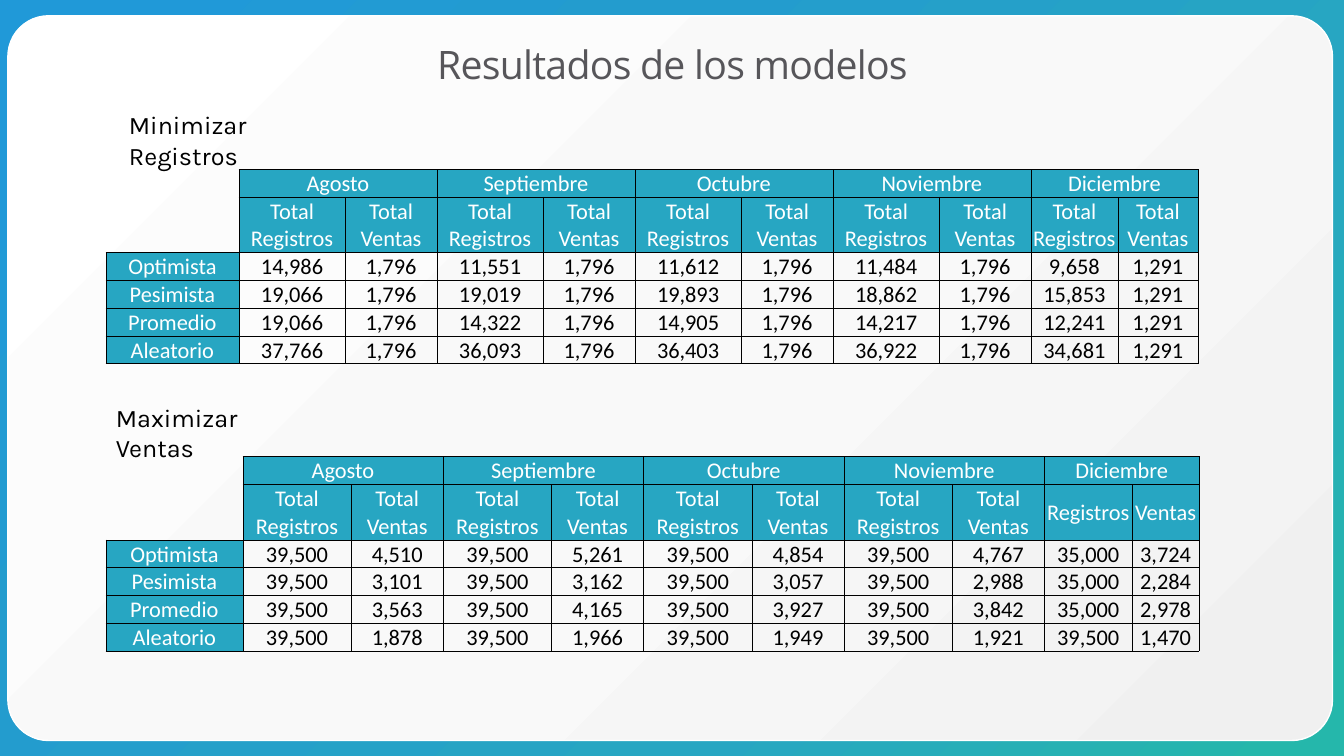
"""Build the slide that compares the results of the two models by month."""
from lxml.etree import SubElement
from pptx import Presentation
from pptx.dml.color import RGBColor
from pptx.enum.shapes import MSO_SHAPE as Shape
from pptx.enum.text import MSO_ANCHOR as Anchor, PP_ALIGN as Align
from pptx.oxml.ns import qn
from pptx.util import Cm, Pt

COLORS = {"teal": "27A6C2", "white": "FFFFFF", "black": "000000", "title": "57565A"}
BACKGROUND_STOPS = [(7, "2099D8"), (32, "239CCE"), (69, "27A6C2"), (97, "25B7AB")]
PANEL_STOPS = [(0, "FFFFFF"), (50, "F9F9F9"), (100, "F0F0F0")]

TITLE = "Resultados de los modelos"
MONTHS = ["Agosto", "Septiembre", "Octubre", "Noviembre", "Diciembre"]
MEASURES = ["Total Registros", "Total Ventas"]
MODELS = [
    {
        "name": "Minimizar Registros",
        "name_box": (3.0, 2.64, 6.15, 1.02),
        "top": 4.27,
        "widths": [3.35] + [2.68, 2.31] * 4 + [2.19, 2.02],
        "last_measures": MEASURES,
        "scenarios": [
            ("Optimista", "14,986 1,796 11,551 1,796 11,612 1,796 11,484 1,796 9,658 1,291"),
            ("Pesimista", "19,066 1,796 19,019 1,796 19,893 1,796 18,862 1,796 15,853 1,291"),
            ("Promedio", "19,066 1,796 14,322 1,796 14,905 1,796 14,217 1,796 12,241 1,291"),
            ("Aleatorio", "37,766 1,796 36,093 1,796 36,403 1,796 36,922 1,796 34,681 1,291"),
        ],
    },
    {
        "name": "Maximizar Ventas",
        "name_box": (2.67, 10.01, 5.56, 1.02),
        "top": 11.51,
        "widths": [3.45] + [2.73, 2.32] * 4 + [2.21, 1.69],
        "last_measures": ["Registros", "Ventas"],
        "scenarios": [
            ("Optimista", "39,500 4,510 39,500 5,261 39,500 4,854 39,500 4,767 35,000 3,724"),
            ("Pesimista", "39,500 3,101 39,500 3,162 39,500 3,057 39,500 2,988 35,000 2,284"),
            ("Promedio", "39,500 3,563 39,500 4,165 39,500 3,927 39,500 3,842 35,000 2,978"),
            ("Aleatorio", "39,500 1,878 39,500 1,966 39,500 1,949 39,500 1,921 39,500 1,470"),
        ],
    },
]
TABLE_LEFT = 2.67
ROW_HEIGHT = 0.7


def put_text(frame, text, font="Calibri", size=16, color="black", align=Align.CENTER,
             line_spacing=None, tracking=None):
    paragraph = frame.paragraphs[0]
    paragraph.alignment = align
    if line_spacing:
        paragraph.line_spacing = line_spacing
    if not text:
        SubElement(paragraph._p, qn("a:endParaRPr"), sz=str(size * 100))
        return
    run = paragraph.add_run()
    run.text = text
    run.font.name = font
    run.font.size = Pt(size)
    run.font.color.rgb = RGBColor.from_string(COLORS[color])
    if tracking:
        run.font._element.set("spc", str(round(tracking * 100)))


def add_text(slide, box, text, anchor=Anchor.TOP, **text_format):
    frame = slide.shapes.add_textbox(*map(Cm, box)).text_frame
    frame.word_wrap = True
    frame.vertical_anchor = anchor
    put_text(frame, text, **text_format)


def fill_radial(fill, owner, stops):
    fill.gradient()
    gradient = owner.find(".//" + qn("a:gradFill"))
    for child in list(gradient):
        gradient.remove(child)
    stop_list = SubElement(gradient, qn("a:gsLst"))
    for position, color in stops:
        stop = SubElement(stop_list, qn("a:gs"), pos=str(position * 1000))
        SubElement(stop, qn("a:srgbClr"), val=color)
    shade = SubElement(gradient, qn("a:path"), path="circle")
    SubElement(shade, qn("a:fillToRect"), r="100000", b="100000")


def set_borders(cell, visible):
    properties = cell._tc.get_or_add_tcPr()
    for index, side in enumerate("LRTB"):
        line = properties.makeelement(qn(f"a:ln{side}"), {"w": str(Pt(0.5))})
        if side in visible:
            color = SubElement(line, qn("a:solidFill"))
            SubElement(color, qn("a:srgbClr"), val=COLORS["black"])
        else:
            SubElement(line, qn("a:noFill"))
        properties.insert(index, line)


def add_results(slide, model):
    month_row = [""] + [part for month in MONTHS for part in (month, "")]
    measure_row = [""] + MEASURES * (len(MONTHS) - 1) + model["last_measures"]
    rows = [month_row, measure_row]
    rows += [[scenario] + values.split() for scenario, values in model["scenarios"]]
    widths = model["widths"]
    heights = [ROW_HEIGHT * (2 if row is measure_row else 1) for row in rows]
    results = slide.shapes.add_table(
        len(rows), len(widths), Cm(TABLE_LEFT), Cm(model["top"]),
        Cm(sum(widths)), Cm(sum(heights))).table
    results.first_row = results.horz_banding = False
    for column, width in zip(results.columns, widths):
        column.width = Cm(width)
    for row, height in zip(results.rows, heights):
        row.height = Cm(height)

    for r, row in enumerate(rows):
        for c, text in enumerate(row):
            cell = results.cell(r, c)
            corner = r < 2 and c == 0
            heading = not corner and (r < 2 or c == 0)
            cell.margin_left = cell.margin_right = cell.margin_top = Cm(0.02)
            cell.margin_bottom = 0
            cell.vertical_anchor = Anchor.MIDDLE
            if heading:
                cell.fill.solid()
                cell.fill.fore_color.rgb = RGBColor.from_string(COLORS["teal"])
            else:
                cell.fill.background()
            set_borders(cell, ("R", "RB")[r] if corner else "LRTB")
            put_text(cell.text_frame, text, color="white" if heading else "black")
    for c in range(1, len(widths), 2):
        results.cell(0, c).merge(results.cell(0, c + 1))


def main():
    deck = Presentation()
    deck.slide_width, deck.slide_height = Cm(33.87), Cm(19.05)
    slide = deck.slides.add_slide(deck.slide_layouts[6])
    fill_radial(slide.background.fill, slide._element, BACKGROUND_STOPS)

    panel = slide.shapes.add_shape(
        Shape.ROUNDED_RECTANGLE, Cm(0.2), Cm(0.4), Cm(33.38), Cm(18.26))
    panel.adjustments[0] = 0.056
    panel.shadow.inherit = False
    fill_radial(panel.fill, panel._element, PANEL_STOPS)
    panel.line.color.rgb = RGBColor.from_string(COLORS["white"])
    panel.line.width = Pt(1)

    add_text(slide, (2.34, 0.71, 29.21, 1.93), TITLE, anchor=Anchor.MIDDLE,
             font="Open Sans", size=28, color="title", line_spacing=0.9, tracking=-0.5)
    for model in MODELS:
        add_results(slide, model)
        add_text(slide, model["name_box"], model["name"],
                 font="Karla", size=18, align=Align.LEFT)
    deck.save("out.pptx")


if __name__ == "__main__":
    main()
